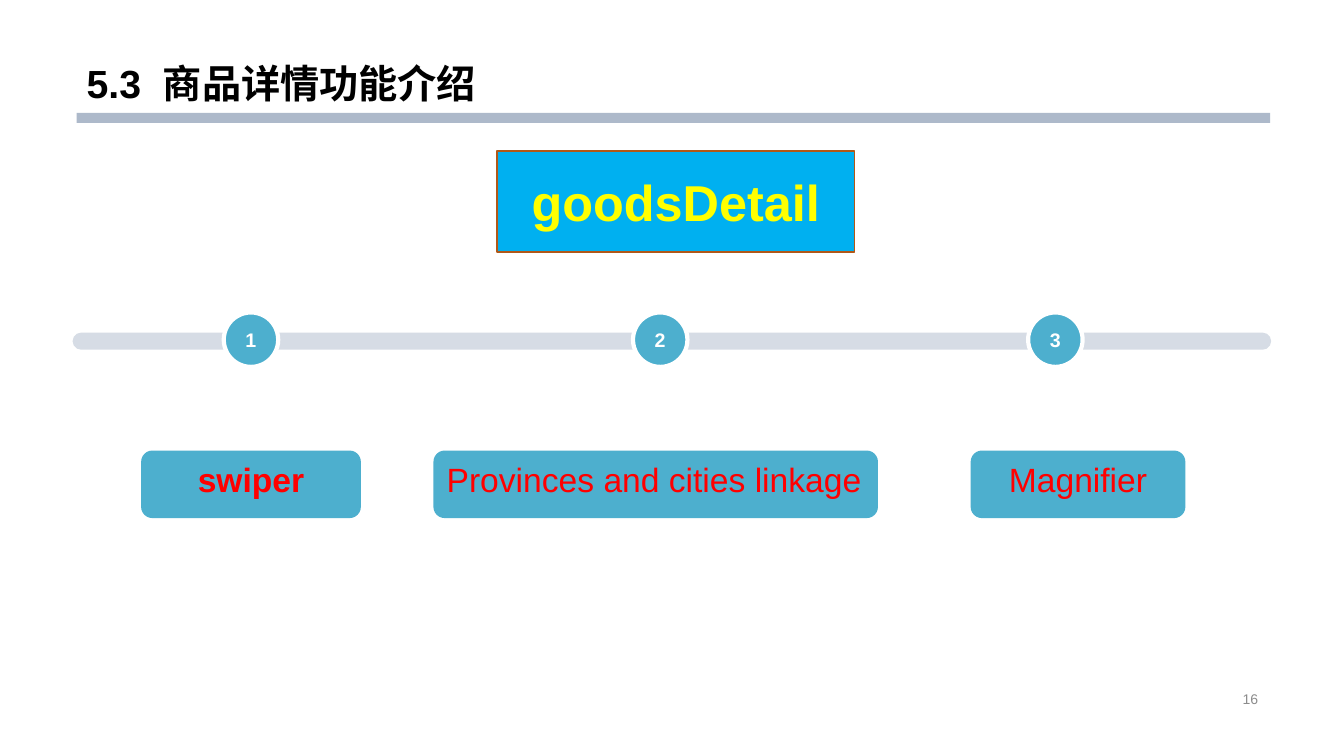
from pptx import Presentation
from pptx.dml.color import RGBColor
from pptx.enum.shapes import MSO_SHAPE as Preset
from pptx.enum.text import MSO_ANCHOR as Anchor, PP_ALIGN as Align
from pptx.util import Inches, Pt

CELL = 0.1  # inches; the slide is a grid of 133.3 columns by 75 rows
TEAL, WHITE, RED = "4DAFCE", "FFFFFF", "FF0000"
BADGE = 5.4
# number, badge column, label, label column, label width, bold, alignment
STEPS = [
    ("1", 22.2, "swiper", 14, 21.8, True, Align.CENTER),
    ("2", 62.8, "Provinces and cities linkage", 43, 44.1, False, Align.LEFT),
    ("3", 102, "Magnifier", 96.3, 21.3, False, Align.CENTER),
]


def grid(*cells):
    return [Inches(cell * CELL) for cell in cells]


def color(hex_code):
    return RGBColor.from_string(hex_code)


def write(box, text, size, ink, bold=False, align=Align.CENTER,
          anchor=Anchor.MIDDLE, wrap=True):
    frame = box.text_frame
    frame.word_wrap = wrap
    frame.vertical_anchor = anchor
    para = frame.paragraphs[0]
    para.alignment = align
    span = para.add_run()
    span.text = text
    span.font.name = "Arial"
    span.font.size = Pt(size)
    span.font.bold = bold
    span.font.color.rgb = color(ink)
    return span


def add_box(page, preset, cells, fill, line=None, weight=1, rounding=None):
    box = page.shapes.add_shape(preset, *grid(*cells))
    box.shadow.inherit = False
    box.fill.solid()
    box.fill.fore_color.rgb = color(fill)
    if line:
        box.line.color.rgb = color(line)
        box.line.width = Pt(weight)
    else:
        box.line.fill.background()
    if rounding is not None:
        box.adjustments[0] = rounding
    return box


def add_title(page):
    title = page.shapes.title
    title.left, title.top, title.width, title.height = grid(7.6, 0, 118.1, 11.1)
    style = dict(size=28, ink="000000", bold=True, align=Align.LEFT,
                 anchor=Anchor.BOTTOM)
    number = write(title, "5.3 ", **style)
    number.text = "5.3"
    gap = write(title, " ", **style)
    gap.font.size = Pt(56)
    gap.font.size = Pt(28)
    gap._r.get_or_add_rPr().set("spc", "780")
    write(title, "商品详情功能介绍", **style)
    title.text_frame.paragraphs[0].line_spacing = 0.9


def add_step(page, number, badge_left, label, left, width, bold, align):
    badge = add_box(page, Preset.OVAL, (badge_left, 31, BADGE, BADGE),
                    TEAL, line=WHITE, weight=3)
    write(badge, number, 14, WHITE, bold=True, wrap=False)
    box = add_box(page, Preset.ROUNDED_RECTANGLE, (left, 44.7, width, 6.7), TEAL)
    write(box, label, 24, RED, bold=bold, align=align, anchor=Anchor.TOP,
          wrap=False)


def main():
    deck = Presentation()
    deck.slide_width, deck.slide_height = grid(133.33, 75)
    page = deck.slides.add_slide(deck.slide_layouts[5])

    add_box(page, Preset.RECTANGLE, (7.6, 11.2, 118.4, 1), "ADB9CA")
    add_title(page)
    page_number = page.shapes.add_textbox(*grid(94.2, 68.2, 31.6, 2.3))
    write(page_number, "16", 10, "8C8C8C", align=Align.RIGHT)

    add_box(page, Preset.ROUNDED_RECTANGLE, (7.2, 33, 118.9, 1.7), "D6DCE5",
            rounding=0.5)
    heading = add_box(page, Preset.ROUNDED_RECTANGLE, (49.3, 15, 35.5, 10),
                      "00B0F0", line="B05818", rounding=0)
    write(heading, "goodsDetail", 36, "FFFF00", bold=True)
    for step in STEPS:
        add_step(page, *step)

    deck.save("out.pptx")


if __name__ == "__main__":
    main()
